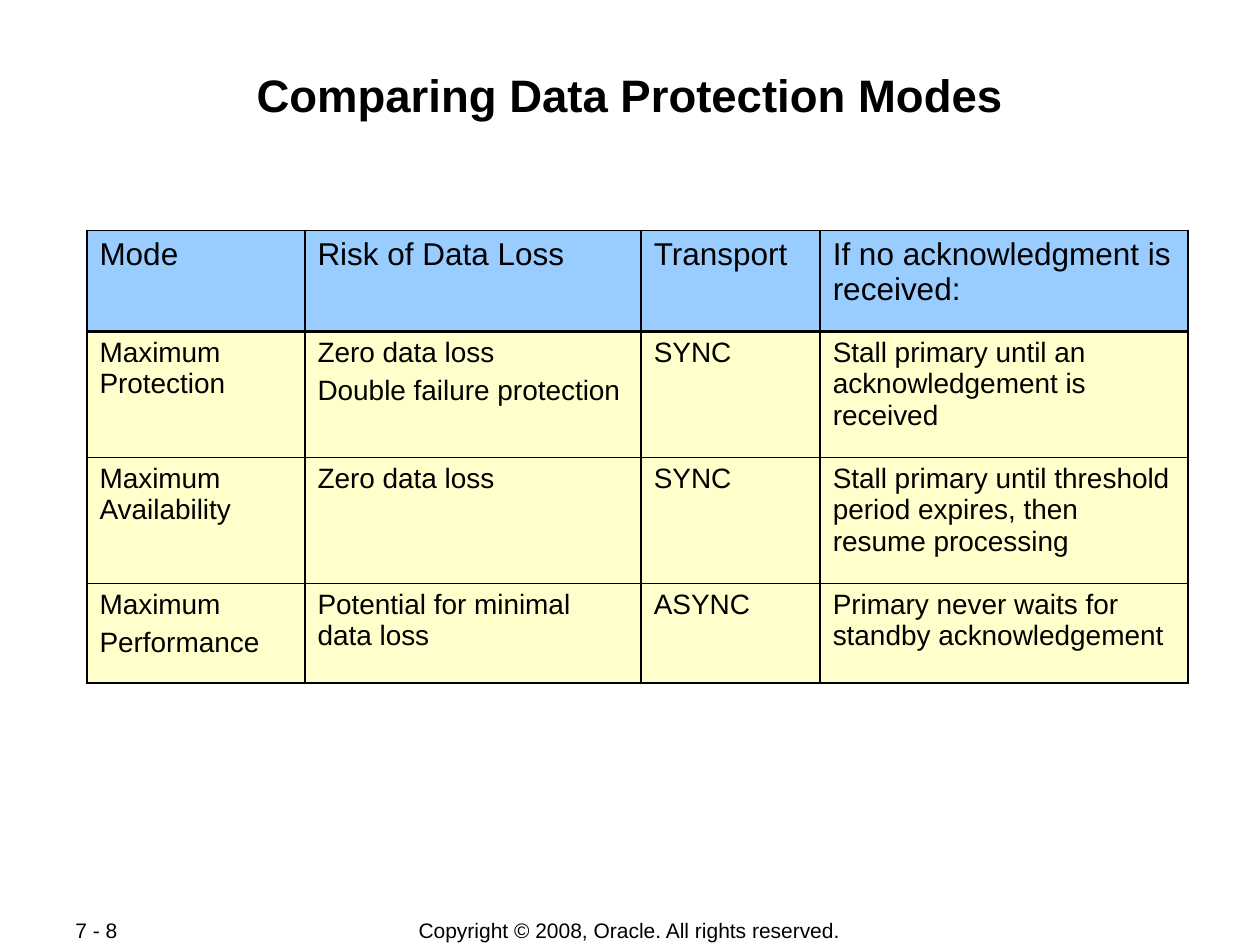
from lxml import etree
from pptx import Presentation
from pptx import util as u
from pptx.dml.color import RGBColor
from pptx.enum import text
from pptx.oxml.ns import qn

COLORS = {"ink": "000000", "paper": "FFFFFF", "header": "99CCFF", "body": "FFFFCC"}
THIN, THICK = 1.08, 2.21

HEADER = ["Mode", "Risk of Data Loss", "Transport", "If no acknowledgment is received:"]
MODES = [
    ["Maximum Protection", "Zero data loss\nDouble failure protection", "SYNC",
     "Stall primary until an acknowledgement is received"],
    ["Maximum Availability", "Zero data loss", "SYNC",
     "Stall primary until threshold period expires, then resume processing"],
    ["Maximum\nPerformance", "Potential for minimal data loss", "ASYNC",
     "Primary never waits for standby acknowledgement"],
]


def rgb(name):
    return RGBColor.from_string(COLORS[name])


class SlideBuilder:
    """Holds the text style and the current slide."""

    font = {"name": "Arial", "bold": False}

    def __init__(self, slide):
        self.s = slide
        fill = slide.background.fill
        fill.solid()
        fill.fore_color.rgb = rgb("paper")

    def add_text(self, tf, content, size, align=text.PP_ALIGN.LEFT, gap=0, **extra):
        for i, line in enumerate(content.split("\n")):
            p = tf.paragraphs[0] if i == 0 else tf.add_paragraph()
            p.alignment = align
            p.space_before = u.Pt(gap if i else 0)
            r = p.add_run()
            r.text = line
            for key, value in {**self.font, "size": u.Pt(size), **extra}.items():
                setattr(r.font, key, value)
            r.font.color.rgb = rgb("ink")

    def title(self, content, left, top, width, height):
        sp = self.s.shapes.title
        box = {"left": left, "top": top, "width": width, "height": height}
        for key, value in box.items():
            setattr(sp, key, u.Inches(value))
        tf = sp.text_frame
        frame = {"margin_left": u.Inches(0.01), "margin_right": u.Inches(0.01),
                 "margin_top": u.Inches(0.05), "margin_bottom": u.Inches(0.01),
                 "vertical_anchor": text.MSO_ANCHOR.TOP, "word_wrap": True}
        for key, value in frame.items():
            setattr(tf, key, value)
        self.add_text(tf, content, 26, text.PP_ALIGN.CENTER, bold=True)

    def footer(self, content, left, top, width, height, align):
        sp = self.s.shapes.add_textbox(*map(u.Inches, (left, top, width, height)))
        tf = sp.text_frame
        tf.word_wrap = False
        tf.vertical_anchor = text.MSO_ANCHOR.MIDDLE
        self.add_text(tf, content, 12, align)

    def borders(self, cell, **widths):
        tcPr = cell._tc.get_or_add_tcPr()
        for side in "LRTB":
            width = u.Pt(widths.get(side, THIN))
            ln = etree.SubElement(tcPr, qn(f"a:ln{side}"), w=str(int(width)))
            solid = etree.SubElement(ln, qn("a:solidFill"))
            etree.SubElement(solid, qn("a:srgbClr"), val=COLORS["ink"])

    def table(self, rows, left, top, widths, heights):
        box = map(u.Inches, (left, top, sum(widths), sum(heights)))
        tbl = self.s.shapes.add_table(len(rows), len(widths), *box).table
        tbl.horz_banding = False
        for col, width in zip(tbl.columns, widths):
            col.width = u.Inches(width)
        for i, (row, height) in enumerate(zip(rows, heights)):
            tbl.rows[i].height = u.Inches(height)
            # A thick rule separates the header from the modes
            rule = {0: {"B": THICK}, 1: {"T": THICK}}.get(i, {})
            for j, content in enumerate(row):
                cell = tbl.cell(i, j)
                self.borders(cell, **rule)
                cell.fill.solid()
                cell.fill.fore_color.rgb = rgb("body" if i else "header")
                self.add_text(cell.text_frame, content, 16 if i else 18, gap=4)


def main():
    prs = Presentation()
    prs.slide_width, prs.slide_height = u.Inches(10), u.Inches(7.5)
    b = SlideBuilder(prs.slides.add_slide(prs.slide_layouts[5]))

    # Footer
    b.footer("Copyright © 2008, Oracle. All rights reserved.", 2.75, 7.28, 4.49, 0.21,
             text.PP_ALIGN.CENTER)
    b.footer("7 - 8", 0.5, 7.28, 1.06, 0.2, text.PP_ALIGN.JUSTIFY)

    # Title
    b.title("Comparing Data Protection Modes", 0.67, 0.48, 8.66, 0.96)

    # Comparison table
    b.table([HEADER] + MODES, 0.69, 1.83, [1.73, 2.67, 1.42, 2.92], [0.8, 1, 1, 0.79])

    prs.save("out.pptx")


if __name__ == "__main__":
    main()
